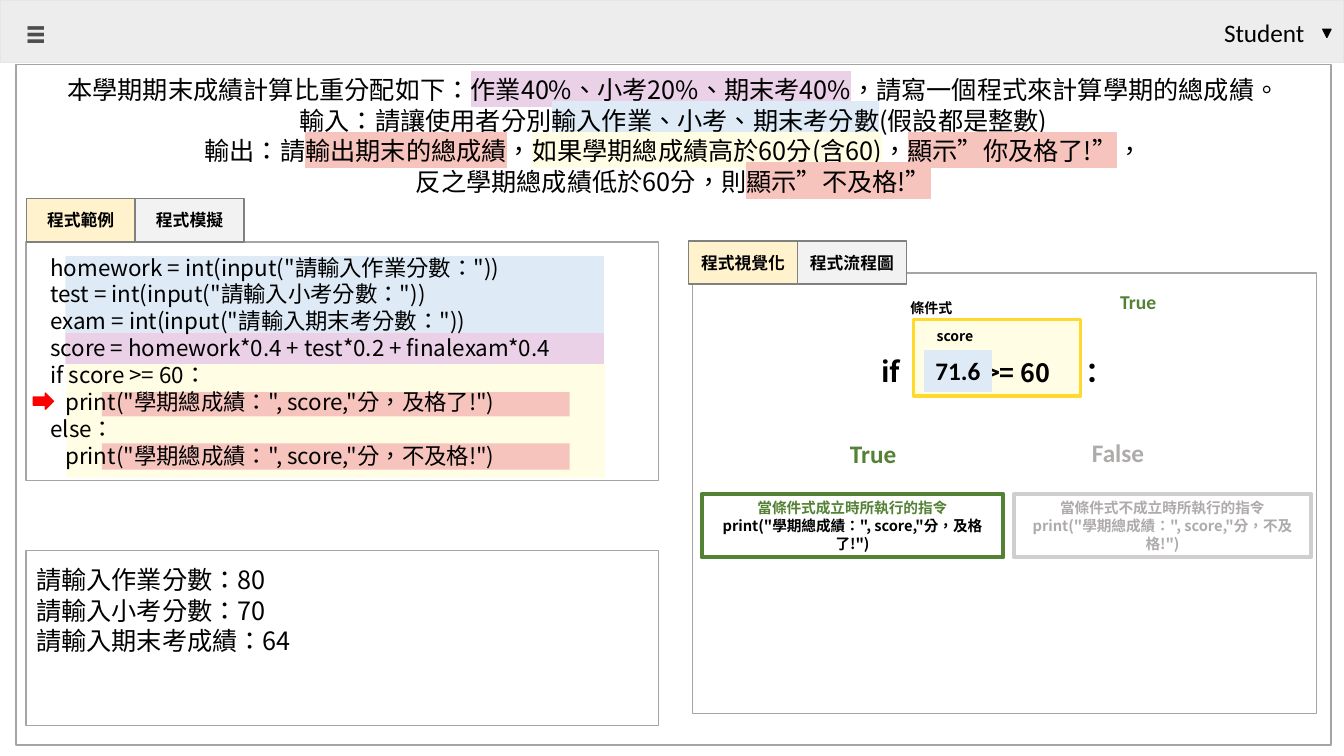
from lxml import etree
from pptx import Presentation, util as u
from pptx.dml.color import RGBColor
from pptx.enum import shapes, text
from pptx.oxml import ns

BLACK = RGBColor(0, 0, 0)
WHITE = RGBColor(255, 255, 255)
GRAY = RGBColor(0xA5, 0xA5, 0xA5)
TAB_LINE = RGBColor(0x80, 0x80, 0x80)
TAB_ON = RGBColor(0xFF, 0xF2, 0xCC)
TAB_OFF = RGBColor(0xF2, 0xF2, 0xF2)
BAR = RGBColor(0xED, 0xED, 0xED)
BAR_LINE = RGBColor(0xE7, 0xE6, 0xE6)
ICON = RGBColor(0x4D, 0x4D, 0x4D)
RED = RGBColor(255, 0, 0)
BLUE = RGBColor(0xDE, 0xEB, 0xF7)
CREAM = RGBColor(0xFF, 0xFD, 0xE3)
PINK = RGBColor(0xF6, 0xC4, 0xBC)
PURPLE = RGBColor(0xEA, 0xD1, 0xE7)
YELLOW = RGBColor(0xFF, 0xDA, 0x2D)
GREEN = RGBColor(0x54, 0x82, 0x35)
MUTED = RGBColor(0xAF, 0xAB, 0xAB)
MUTED_LINE = RGBColor(0xD0, 0xCE, 0xCE)
CJK, LATIN = "Noto Sans CJK SC", "Calibri"
RECT = shapes.MSO_SHAPE.RECTANGLE
CENTER = text.PP_ALIGN.CENTER
TOP, MIDDLE = text.MSO_ANCHOR.TOP, text.MSO_ANCHOR.MIDDLE

# A line is a list of runs; a run is (text, format)
QUESTION = [
    [("本學期期末成績計算比重分配如下：", {}),
     ("作業40%、小考20%、期末考40%", {"highlight": PURPLE}),
     ("，請寫一個程式來計算學期的總成績。", {})],
    [("輸入：請讓使用者分別", {}),
     ("輸入作業、小考、期末考分數", {"highlight": BLUE}),
     ("(假設都是整數)", {})],
    [("輸出：請", {}),
     ("輸出期末的總成績", {"highlight": PINK}),
     ("，", {}),
     ("如果學期總成績高於60分(含60)", {"highlight": CREAM}),
     ("，", {}),
     ("顯示”你及格了!”", {"highlight": PINK}),
     ("，", {})],
    [("反之學期總成績低於60分，則", {}),
     ("顯示”不及格!”", {"highlight": PINK})],
]
PASS_CALL = 'print("學期總成績：", score,"分，及格了!")'
FAIL_CALL = 'print("學期總成績：", score,"分，不及格!")'
CODE = [
    'homework = int(input("請輸入作業分數："))',
    'test = int(input("請輸入小考分數："))',
    'exam = int(input("請輸入期末考分數："))',
    'score = homework*0.4 + test*0.2 + finalexam*0.4',
    'if score >= 60：',
    '   ' + PASS_CALL,
    'else：',
    '   ' + FAIL_CALL,
]
CODE_BANDS = [  # left, top, width, height, colour
    (0.65, 2.54, 5.34, 0.76, BLUE),
    (0.66, 3.61, 5.34, 1.13, CREAM),
    (1.01, 3.89, 4.64, 0.24, PINK),
    (1.01, 4.4, 4.64, 0.26, PINK),
    (0.65, 3.3, 5.34, 0.31, PURPLE),
]
OUTPUT = ["請輸入作業分數：80", "請輸入小考分數：70", "請輸入期末考成績：64"]
TAB_W, TAB_H = 1.08, 0.43
TABS = [  # left, top, labels
    (6.83, 2.39, ["程式視覺化", "程式流程圖"]),
    (0.26, 1.97, ["程式範例", "程式模擬"]),
]
CONDITION_LABELS = [  # text, left, vertical centre, width, size
    ("條件式", 9.03, 3.06, 0.8, 10),
    ("if", 8.74, 3.68, 0.3, 20),
    ("：", 10.77, 3.68, 0.4, 20),
    ("score", 9.29, 3.33, 0.7, 10),
    (">= 60", 9.77, 3.69, 0.9, 18),
]
BRANCHES = [  # left, width, line, heading, heading colour, call, call colour
    (6.96, 2.99, GREEN, "當條件式成立時所執行的指令", GREEN, PASS_CALL, BLACK),
    (10.06, 2.94, MUTED_LINE, "當條件式不成立時所執行的指令", MUTED, FAIL_CALL, MUTED),
]
LATIN_LABELS = [  # text, left, vertical centre, size, colour, bold
    ("Student", 12.14, 0.32, 18, BLACK, False),
    ("≡", 0.26, 0.32, 28, ICON, True),
    ("True", 8.43, 4.5, 18, GREEN, True),
    ("False", 10.83, 4.49, 18, MUTED, True),
    ("True", 11.11, 2.99, 14, GREEN, True),
]

prs = Presentation()
prs.slide_width, prs.slide_height = u.Inches(13.33), u.Inches(7.5)
s = prs.slides.add_slide(prs.slide_layouts[6])


def add_box(x, y, w, h, fill=None, line=None, weight=1, kind=RECT):
    sp = s.shapes.add_shape(kind, *map(u.Inches, (x, y, w, h)))
    sp.shadow.inherit = False
    if fill is None:
        sp.fill.background()
    else:
        sp.fill.solid()
        sp.fill.fore_color.rgb = fill
    if line is None:
        sp.line.fill.background()
    else:
        sp.line.color.rgb = line
        sp.line.width = u.Pt(weight)
    return sp


def format_run(r, size, font, color, bold, highlight=None):
    r.font.size, r.font.bold, r.font.name = u.Pt(size), bold, font
    r.font.color.rgb = color
    rpr = r._r.get_or_add_rPr()
    rpr.set("lang", "zh-TW")
    east = etree.Element(ns.qn("a:ea"), typeface=CJK)
    rpr.find(ns.qn("a:latin")).addnext(east)
    if highlight is not None:
        mark = etree.Element(ns.qn("a:highlight"))
        etree.SubElement(mark, ns.qn("a:srgbClr"), val=str(highlight))
        rpr.find(ns.qn("a:solidFill")).addnext(mark)


def write(sp, lines, size=18, font=CJK, color=BLACK, bold=False, align=text.PP_ALIGN.LEFT,
          anchor=MIDDLE, spacing=None, insets=(0.1, 0.05), wrap=True):
    """Fill a shape with lines, each a string or a list of (text, format) runs."""
    tf = sp.text_frame
    tf.word_wrap, tf.vertical_anchor = wrap, anchor
    tf.margin_left = tf.margin_right = u.Inches(insets[0])
    tf.margin_top = tf.margin_bottom = u.Inches(insets[1])
    for i, line in enumerate(lines):
        p = tf.add_paragraph() if i else tf.paragraphs[0]
        p.alignment = align
        if spacing:
            p.line_spacing = u.Pt(spacing)
        for words, extra in [(line, {})] if isinstance(line, str) else line:
            r = p.add_run()
            r.text = words
            format_run(r, **{"size": size, "font": font, "color": color, "bold": bold, **extra})


def add_label(words, x, middle, w, **style):
    """Place one line of text from its left edge and vertical centre."""
    h = 0.4
    box = s.shapes.add_textbox(*map(u.Inches, (x, middle - h / 2, w, h)))
    write(box, [words], insets=(0, 0), wrap=False, **style)


# Question and panels
write(add_box(0.16, 0.64, 13.04, 6.75, line=GRAY), QUESTION,
      align=CENTER, anchor=TOP, spacing=21.7, insets=(0.1, 0.1))
add_box(6.87, 2.71, 6.19, 4.37, WHITE, GRAY)
for *place, color in CODE_BANDS:
    add_box(*place, fill=color)
write(add_box(0.26, 2.4, 6.27, 2.37, line=GRAY), CODE,
      size=16, spacing=19.25, insets=(0.24, 0.05))
write(add_box(0.26, 5.46, 6.27, 1.74, WHITE, GRAY), OUTPUT,
      anchor=TOP, spacing=21.7, insets=(0.1, 0.14))

# Top bar
add_box(0, 0, 13.33, 0.62, BAR, BAR_LINE)
menu_arrow = add_box(13.12, 0.29, 0.08, 0.08, BLACK, BLACK,
                     kind=shapes.MSO_SHAPE.ISOSCELES_TRIANGLE)
menu_arrow.rotation = 180

for left, top, labels in TABS:
    for i, label in enumerate(labels):
        tab = add_box(left + i * TAB_W, top, TAB_W, TAB_H, (TAB_ON, TAB_OFF)[i], TAB_LINE)
        write(tab, [label], size=12, bold=True, align=CENTER, insets=(0.05, 0.05))

add_box(0.33, 3.9, 0.2, 0.16, RED, RED, kind=shapes.MSO_SHAPE.RIGHT_ARROW)

# Condition and its branches
add_box(9.06, 3.17, 1.66, 0.76, CREAM, YELLOW, 2.25)
for words, x, middle, w, size in CONDITION_LABELS:
    add_label(words, x, middle, w, size=size, bold=True)
write(add_box(9.17, 3.48, 0.66, 0.4, BLUE, BLUE, 0.75), ["71.6"],
      font=LATIN, bold=True, align=CENTER, insets=(0, 0))
for left, w, line, heading, heading_color, call, call_color in BRANCHES:
    write(add_box(left, 4.9, w, 0.63, line=line, weight=3),
          [[(heading, {"color": heading_color})], [(call, {"color": call_color})]],
          size=10.5, bold=True, align=CENTER, spacing=12.6)
for words, x, middle, size, color, bold in LATIN_LABELS:
    add_label(words, x, middle, 0.9, size=size, font=LATIN, color=color, bold=bold)

prs.save("out.pptx")
